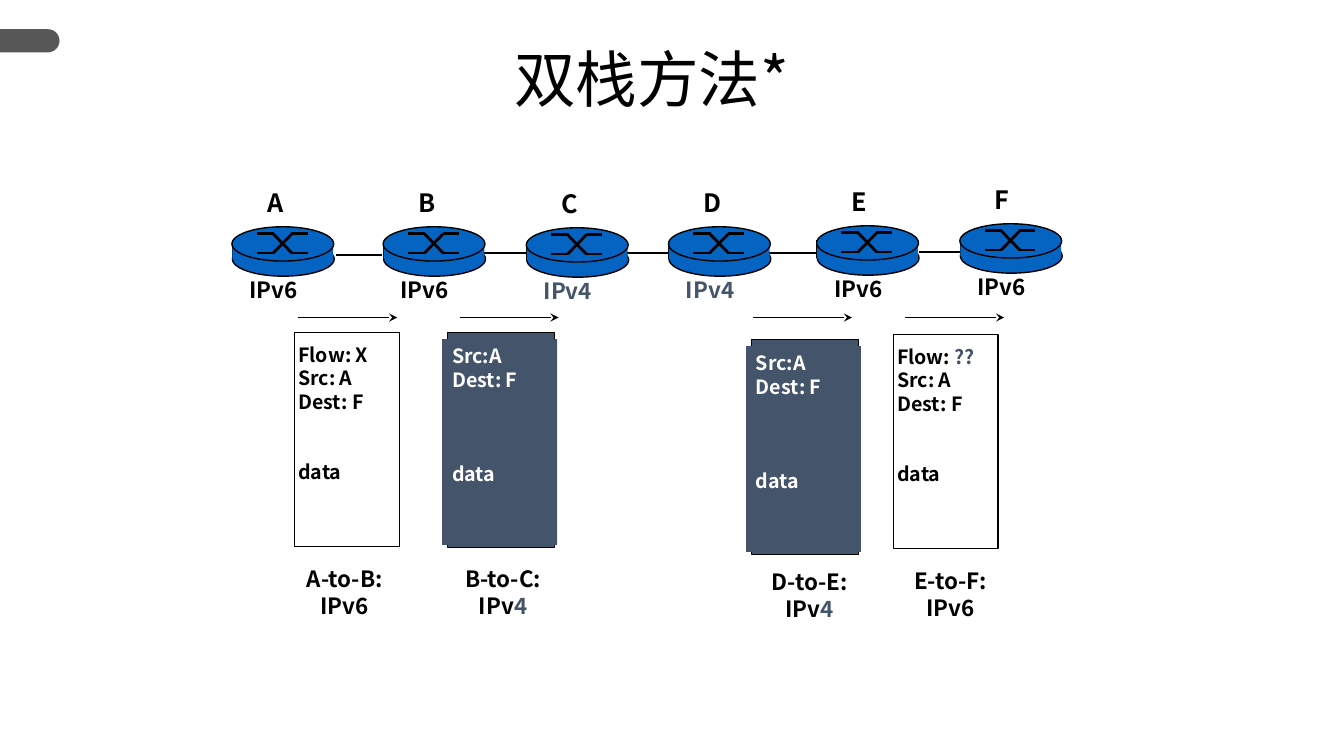
from math import cos, pi, sin

from lxml.etree import SubElement
from pptx import Presentation
from pptx.dml.color import RGBColor
from pptx.enum.shapes import MSO_CONNECTOR as Link, MSO_SHAPE as Kind
from pptx.enum.text import MSO_ANCHOR as Anchor, MSO_AUTO_SIZE as Fit, PP_ALIGN as Align
from pptx.oxml.ns import qn
from pptx.util import Inches, Pt

BLACK = RGBColor(0x00, 0x00, 0x00)
WHITE = RGBColor(0xFF, 0xFF, 0xFF)
GREY = RGBColor(0x57, 0x57, 0x57)
BLUE = RGBColor(0x05, 0x63, 0xC1)
SLATE = RGBColor(0x44, 0x54, 0x6A)
FONT = "Noto Sans CJK SC"
CELL = 0.1  # inches per column and per row


def cells(*counts):
    return [Inches(count * CELL) for count in counts]


class Board:
    """Draws on one slide; every length is in columns and rows of the grid."""

    def __init__(self, slide):
        self.slide = slide
        self.shapes = slide.shapes

    def style(self, run, size, color, bold=True):
        font = run.font
        font.size, font.bold, font.name = Pt(size), bold, FONT
        font.color.rgb = color
        SubElement(run._r.get_or_add_rPr(), qn("a:ea")).set("typeface", FONT)

    def title(self, text, x, y, w, h):
        box = self.shapes.title
        box.left, box.top, box.width, box.height = cells(x, y, w, h)
        frame = box.text_frame
        frame.text = text
        frame.word_wrap, frame.auto_size = True, Fit.NONE
        frame.vertical_anchor = Anchor.TOP
        para = frame.paragraphs[0]
        para.alignment, para.line_spacing = Align.CENTER, 0.9
        self.style(para.runs[0], 44, BLACK, bold=False)

    def paint(self, shape, fill, edge):
        shape.shadow.inherit = False
        shape.fill.solid()
        shape.fill.fore_color.rgb = fill
        if edge:
            shape.line.color.rgb = BLACK
            shape.line.width = Pt(1)
        else:
            shape.line.fill.background()

    def shape(self, kind, x, y, w, h, fill, edge=True):
        shape = self.shapes.add_shape(kind, *cells(x, y, w, h))
        self.paint(shape, fill, edge)

    def line(self, x1, y1, x2, y2, width=1, arrow=False):
        link = self.shapes.add_connector(Link.STRAIGHT, *cells(x1, y1, x2, y2))
        link.line.color.rgb = BLACK
        link.line.width = Pt(width)
        if arrow:
            SubElement(link.line._get_or_add_ln(), qn("a:tailEnd")).set("type", "stealth")
        SubElement(link._element.spPr, qn("a:effectLst"))

    def text(self, lines, x, y, w, h, size, color=BLACK, align=Align.LEFT, gap=0, fill=None):
        """Write lines; a part after "|" is slate, and gap lines precede the last one."""
        box = self.shapes.add_textbox(*cells(x, y, w, h))
        if fill:
            self.paint(box, fill, edge=False)
        frame = box.text_frame
        frame.word_wrap = True
        frame.text = "\n".join(line.split("|")[0] for line in lines)
        for para, line in zip(frame.paragraphs, lines):
            para.alignment = align
            self.style(para.runs[0], size, color)
            for part in line.split("|")[1:]:
                run = para.add_run()
                run.text = part
                self.style(run, size, SLATE)
        if gap:
            frame.paragraphs[-1].space_before = Pt(gap * size * 1.2)

    def tab(self, w, top, h):
        """Draw the bar at the left edge with a round right end."""
        r = h / 2
        turns = [pi * (step / 16 - 0.5) for step in range(17)]
        arc = [cells(w - r + r * cos(a), top + r + r * sin(a)) for a in turns]
        path = self.shapes.build_freeform(*cells(0, top))
        path.add_line_segments(arc + [cells(0, top + h)], close=True)
        self.paint(path.convert_to_shape(), GREY, edge=False)

    def router(self, name, x, y, label, color):
        self.shape(Kind.OVAL, x + 0.05, y + 1.5, 10.1, 3.4, BLUE)
        for side in (0.05, 7.9):
            self.line(x + side, y + 1.4, x + side, y + 3.2)
        self.shape(Kind.RECTANGLE, x + 0.05, y + 1.4, 10, 1.8, BLUE, edge=False)
        self.shape(Kind.OVAL, x, y, 10.1, 3.4, BLUE)
        for start, end in ((0.7, 2.6), (2.6, 0.7)):
            self.line(x + 2.45, y + start, x + 4.2, y + start, 2)
            self.line(x + 4.1, y + start, x + 5.95, y + end, 2)
            self.line(x + 5.9, y + end, x + 7.5, y + end, 2)
        self.text([name], x + 2.5, y - 4.45, 5.2, 5.4, 18)
        self.text([label], x + 0.75, y + 4.45, 9, 5, 16, color)

    def packet(self, x, y, head, dark):
        if dark:
            self.shape(Kind.RECTANGLE, x, y, 10.6, 21.3, SLATE)
            self.text(head + ["data"], x - 0.55, y + 0.65, 11.4, 20.4, 14, WHITE,
                      gap=3, fill=SLATE)
        else:
            self.shape(Kind.RECTANGLE, x, y, 10.4, 21.2, WHITE)
            self.text(head + ["data"], x - 0.6, y + 0.5, 12.4, 20.4, 14, gap=2)


ROUTERS = [
    ("A", 23, 22.5, "IPv6", BLACK), ("B", 38, 22.5, "IPv6", BLACK),
    ("C", 52.2, 22.6, "IPv4", SLATE), ("D", 66.3, 22.5, "IPv4", SLATE),
    ("E", 81, 22.4, "IPv6", BLACK), ("F", 95.2, 22.2, "IPv6", BLACK),
]
LINKS = [(33.3, 37.9, 25.3), (48, 81.3, 25.1), (91.1, 95.7, 25)]
OLD = ["Src:A", "Dest: F"]
NEW = ["Src: A", "Dest: F"]
# left, top, header lines, dark, arrow left, hop, version, caption centre, caption top
PACKETS = [
    (29.2, 33, ["Flow: X"] + NEW, False, 29.6, "A-to-B:", "IPv6", 34.2, 55.6),
    (44.4, 33, OLD, True, 45.6, "B-to-C:", "IPv|4", 49.9, 55.6),
    (74.55, 33.7, OLD, True, 74.7, "D-to-E:", "IPv|4", 80.3, 55.9),
    (88.6, 33.2, ["Flow: |??"] + NEW, False, 89.8, "E-to-F:", "IPv6", 94.3, 55.8),
]


def main():
    deck = Presentation()
    deck.slide_width, deck.slide_height = Inches(13.33), Inches(7.5)
    board = Board(deck.slides.add_slide(deck.slide_layouts[5]))
    board.tab(5.9, 2.9, 2.3)
    board.title("双栈方法*", 8.3, 4.4, 112.7, 12.5)
    for left, right, row in LINKS:
        board.line(left, row, right, row)
    for router in ROUTERS:
        board.router(*router)
    for x, y, head, dark, start, hop, version, mid, top in PACKETS:
        board.line(start, 31.5, start + 9.8, 31.5, arrow=True)
        board.packet(x, y, head, dark)
        board.text([hop, version], mid - 6.7, top, 13.4, 8.6, 16, align=Align.CENTER)
    deck.save("out.pptx")


if __name__ == "__main__":
    main()
